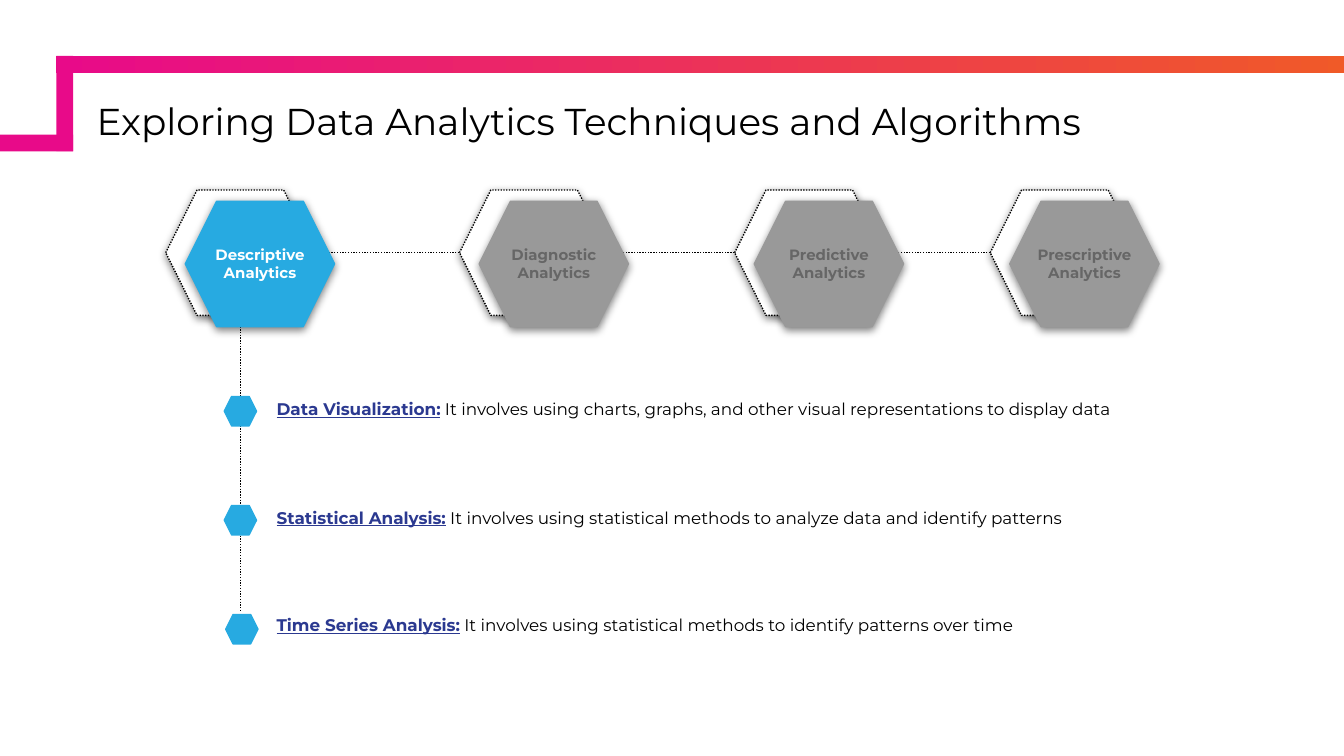
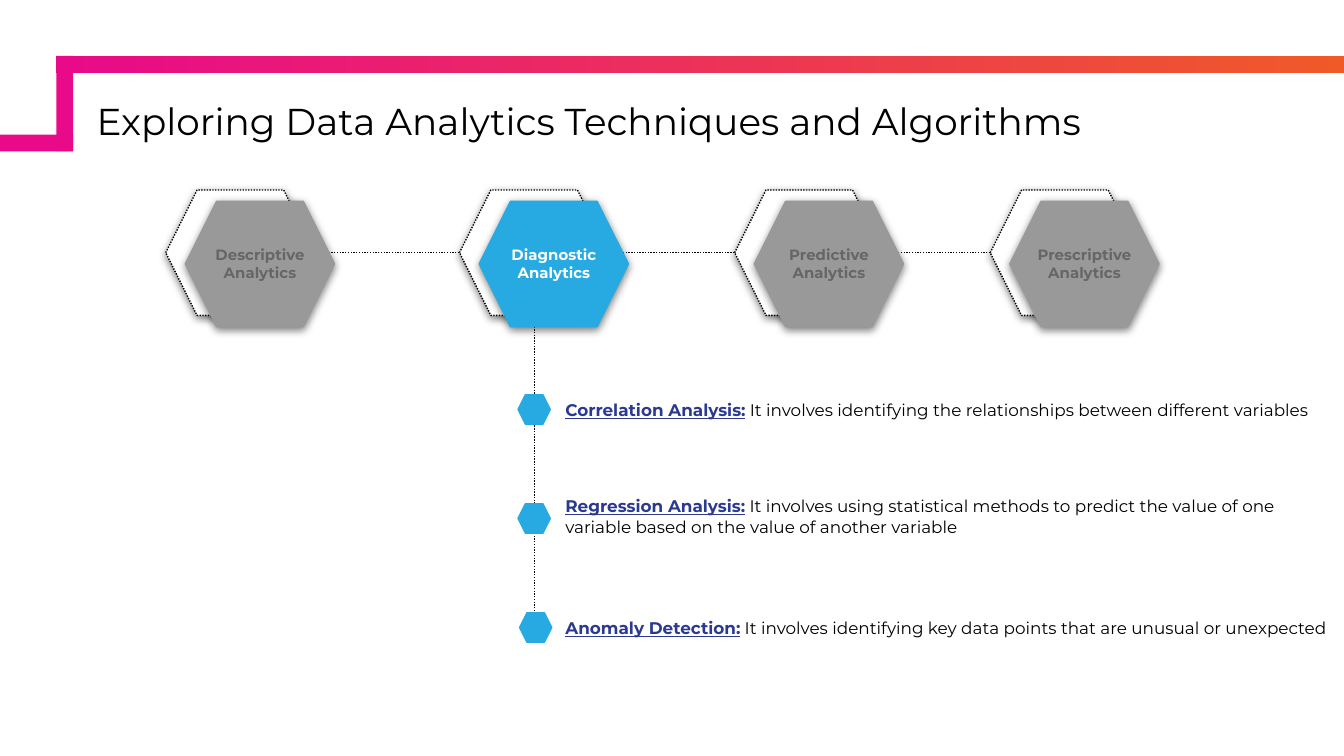
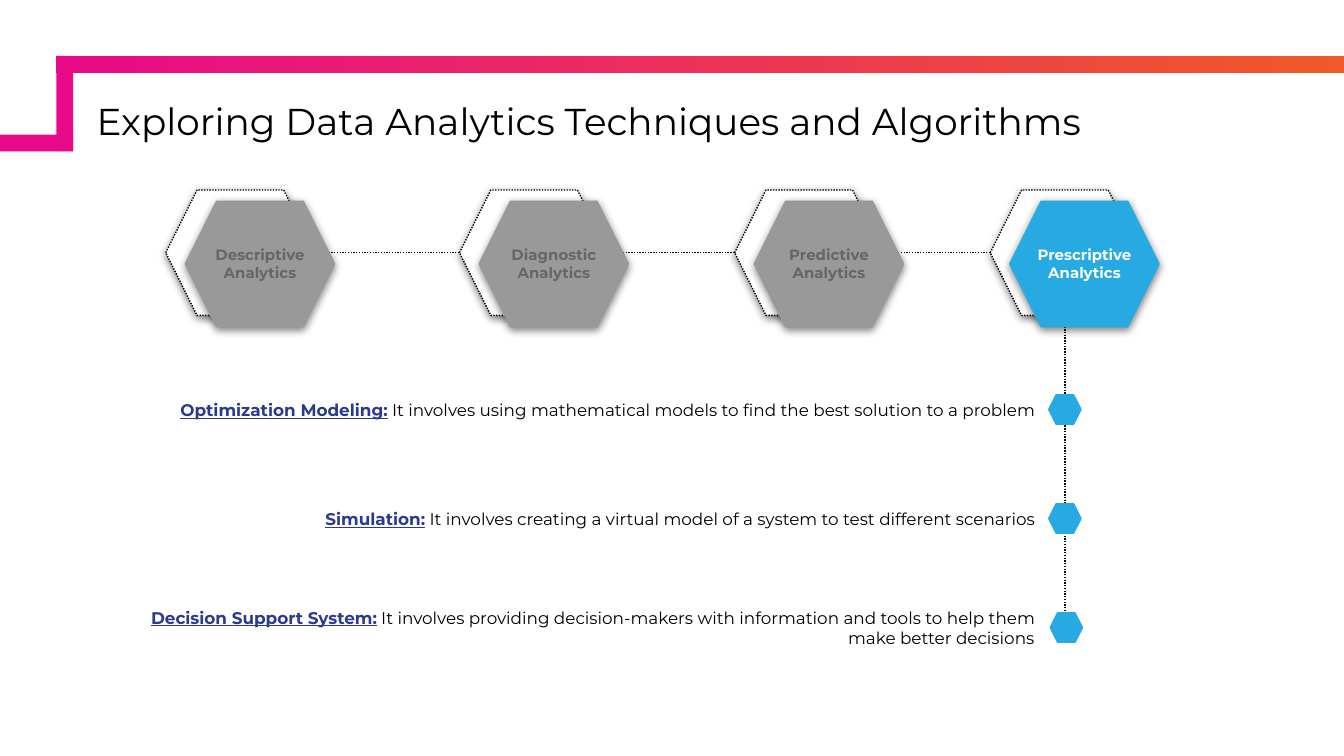
"""Builds three slides that walk through the kinds of data analytics."""
from lxml import etree
from pptx import Presentation
from pptx.dml.color import RGBColor
from pptx.enum.dml import MSO_LINE
from pptx.enum.shapes import MSO_CONNECTOR, MSO_SHAPE
from pptx.enum.text import MSO_ANCHOR, PP_ALIGN
from pptx.oxml.ns import qn
from pptx.util import Pt

RECTANGLE, HEXAGON = MSO_SHAPE.RECTANGLE, MSO_SHAPE.HEXAGON
STRAIGHT, DOTTED = MSO_CONNECTOR.STRAIGHT, MSO_LINE.ROUND_DOT
TOP, MIDDLE, BOTTOM = MSO_ANCHOR.TOP, MSO_ANCHOR.MIDDLE, MSO_ANCHOR.BOTTOM
LEFT, CENTER, RIGHT = PP_ALIGN.LEFT, PP_ALIGN.CENTER, PP_ALIGN.RIGHT

TITLE = "Exploring Data Analytics Techniques and Algorithms"
STAGES = [
    ("Descriptive Analytics", 88.8),
    ("Diagnostic Analytics", 246.2),
    ("Predictive Analytics", 393.6),
    ("Prescriptive Analytics", 530.5),
]
TOPICS = [
    {
        "stage": 0, "bead_top": 212.4, "align": LEFT, "anchor": TOP,
        "left": 141.1, "widths": (508.3, 508.3, 508.3), "tops": (208.1, 266.4, 324),
        "notes": [
            ("Data Visualization:", " It involves using charts, graphs, and other visual representations to display data"),
            ("Statistical Analysis:", " It involves using statistical methods to analyze data and identify patterns"),
            ("Time Series Analysis:", " It involves using statistical methods to identify patterns over time"),
        ],
    },
    {
        "stage": 1, "bead_top": 211.5, "align": LEFT, "anchor": MIDDLE,
        "left": 295.8, "widths": (417.6, 417.6, 424.2), "tops": (207.4, 264.4, 324),
        "notes": [
            ("Correlation Analysis:", " It involves identifying the relationships between different variables"),
            ("Regression Analysis:", " It involves using statistical methods to predict the value of one variable based on the value of another variable"),
            ("Anomaly Detection:", " It involves identifying key data points that are unusual or unexpected"),
        ],
    },
    {
        "stage": 3, "bead_top": 211.5, "align": RIGHT, "anchor": MIDDLE,
        "left": 58.5, "widths": (502.6, 502.6, 502.6), "tops": (207.4, 265.7, 324),
        "notes": [
            ("Optimization Modeling:", " It involves using mathematical models to find the best solution to a problem"),
            ("Simulation:", " It involves creating a virtual model of a system to test different scenarios"),
            ("Decision Support System:", " It involves providing decision-makers with information and tools to help them make better decisions"),
        ],
    },
]

COLORS = {
    "pink": "E80A89", "orange": "F05A28", "blue": "27AAE1", "gray": "999999",
    "muted": "666666", "term": "2B3990", "black": "000000", "white": "FFFFFF",
}
FONT = "Montserrat"
LINE_WIDTH = 0.75
BAND = 9
HEX_W, HEX_H, HEX_TOP = 80, 67.2, 101.8
FRONT_DX, FRONT_DY = 10.5, 6
LABEL_W, LABEL_H = 65.5, 39
BEAD_W, BEAD_H, BEAD_STEP = 17.3, 15.8, 58.4
LAST_BEAD_DX = 0.8
STEM_END = 328
NOTE_H = 24.5


def color(name):
    return RGBColor.from_string(COLORS[name])


def add_block(slide, kind, box, fill, outline=None, dash=None, shadow=False):
    block = slide.shapes.add_shape(kind, *map(Pt, box))
    block.shadow.inherit = False
    block.fill.solid()
    block.fill.fore_color.rgb = color(fill)
    if outline:
        block.line.color.rgb = color(outline)
        block.line.width = Pt(LINE_WIDTH)
        block.line.dash_style = dash
    else:
        block.line.fill.background()
    if shadow:
        effects = block._element.spPr.find(qn("a:effectLst"))
        outer = etree.SubElement(effects, qn("a:outerShdw"), blurRad=str(Pt(4.5)),
                                 dist=str(Pt(1.5)), dir="5400000", algn="bl", rotWithShape="0")
        tint = etree.SubElement(outer, qn("a:srgbClr"), val=COLORS["black"])
        etree.SubElement(tint, qn("a:alpha"), val="50000")
    return block


def add_dotted_line(slide, x1, y1, x2, y2):
    dotted = slide.shapes.add_connector(STRAIGHT, *map(Pt, (x1, y1, x2, y2)))
    dotted.line.color.rgb = color("black")
    dotted.line.width = Pt(LINE_WIDTH)
    dotted.line.dash_style = DOTTED
    etree.SubElement(dotted._element.spPr, qn("a:effectLst"))


def add_text(slide, box, runs, size, align, anchor, inset=7.2):
    """Adds a text box from runs of (text, colour, bold, underline)."""
    frame = slide.shapes.add_textbox(*map(Pt, box)).text_frame
    frame.word_wrap = True
    frame.vertical_anchor = anchor
    frame.margin_left = frame.margin_right = frame.margin_top = frame.margin_bottom = Pt(inset)
    paragraph = frame.paragraphs[0]
    paragraph.alignment = align
    for text, ink, bold, underline in runs:
        run = paragraph.add_run()
        run.text = text
        run.font.name, run.font.size = FONT, Pt(size)
        run.font.bold, run.font.underline = bold, underline
        run.font.color.rgb = color(ink)
    return paragraph


def add_header(slide):
    top_band = add_block(slide, RECTANGLE, (30, 30, 695.5, BAND), "pink")
    top_band.fill.gradient()
    top_band.fill.gradient_angle = 0
    for stop, name in zip(top_band.fill.gradient_stops, ("pink", "orange")):
        stop.color.rgb = color(name)
    add_block(slide, RECTANGLE, (30.2, 30, BAND, 51), "pink")
    add_block(slide, RECTANGLE, (-6, 72.2, 45.2, BAND), "pink")
    heading = add_text(slide, (48.2, 56.2, 650.2, 24.5), [(TITLE, "black", False, False)],
                       20, LEFT, BOTTOM, 3.6)
    heading.line_spacing = 0.9


def add_stages(slide, active):
    rail_y = HEX_TOP + HEX_H / 2
    add_dotted_line(slide, STAGES[-1][1], rail_y, STAGES[0][1] + HEX_W, rail_y)
    for index, (name, left) in enumerate(STAGES):
        fill, ink = ("blue", "white") if index == active else ("gray", "muted")
        front_left, front_top = left + FRONT_DX, HEX_TOP + FRONT_DY
        add_block(slide, HEXAGON, (left, HEX_TOP, HEX_W, HEX_H), "white", "black", DOTTED, True)
        add_block(slide, HEXAGON, (front_left, front_top, HEX_W, HEX_H), fill, fill, shadow=True)
        label_box = (front_left + (HEX_W - LABEL_W) / 2, front_top + (HEX_H - LABEL_H) / 2,
                     LABEL_W, LABEL_H)
        add_text(slide, label_box, [(name, ink, True, False)], 8, CENTER, MIDDLE)


def add_notes(slide, topic, stem_x):
    rows = zip(topic["notes"], topic["tops"], topic["widths"])
    for index, ((term, meaning), top, width) in enumerate(rows):
        nudge = LAST_BEAD_DX if index == len(topic["notes"]) - 1 else 0
        bead_box = (stem_x - BEAD_W / 2 + nudge, topic["bead_top"] + index * BEAD_STEP,
                    BEAD_W, BEAD_H)
        add_block(slide, HEXAGON, bead_box, "blue", "blue")
        runs = [(term, "term", True, True), (meaning, "black", False, False)]
        add_text(slide, (topic["left"], top, width, NOTE_H), runs, 9,
                 topic["align"], topic["anchor"])


def main():
    deck = Presentation()
    deck.slide_width, deck.slide_height = Pt(720), Pt(405)
    for topic in TOPICS:
        slide = deck.slides.add_slide(deck.slide_layouts[6])
        stem_x = STAGES[topic["stage"]][1] + HEX_W / 2
        add_header(slide)
        add_dotted_line(slide, stem_x, HEX_TOP + HEX_H, stem_x, STEM_END)
        add_stages(slide, topic["stage"])
        add_notes(slide, topic, stem_x)
    deck.save("out.pptx")


if __name__ == "__main__":
    main()
